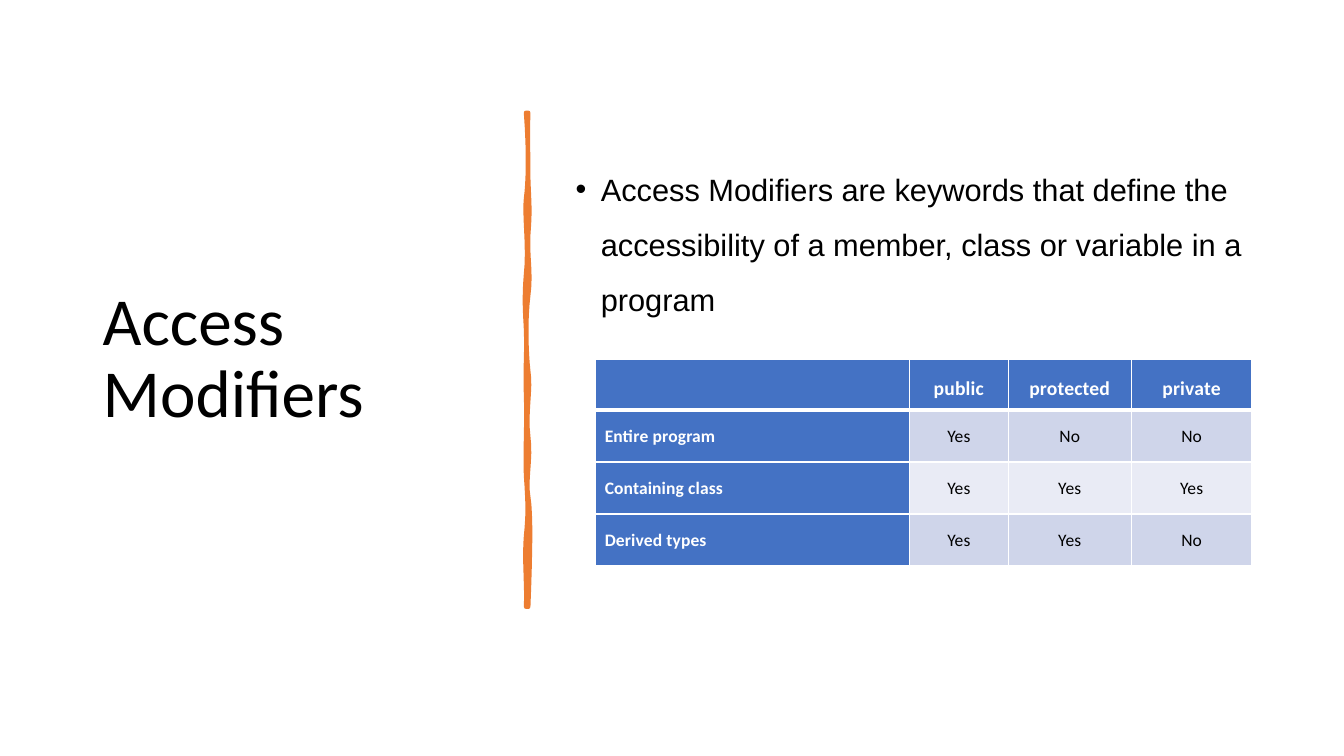
"""Build the Access Modifiers slide."""
from dataclasses import dataclass

from lxml import etree
from pptx import Presentation
from pptx.dml import color
from pptx.enum import text
from pptx.oxml import ns
from pptx.util import Pt


@dataclass(frozen=True)
class Theme:
    """Hold the fonts, colours and type sizes."""
    head: str = "Calibri"
    text: str = "Arial"
    ink: str = "000000"
    paper: str = "FFFFFF"
    brush: str = "ED7D31"
    blue: str = "4472C4"
    bands: tuple = ("CFD5EA", "E9EBF5")
    title: float = 48
    body: float = 22
    label: float = 14
    cell: float = 12.5


LOOK = Theme()

ROWS = (
    ("", "public", "protected", "private"),
    ("Entire program", "Yes", "No", "No"),
    ("Containing class", "Yes", "Yes", "Yes"),
    ("Derived types", "Yes", "Yes", "No"),
)
WIDTHS = (224.6, 70.6, 87.8, 86.4)

TOP, BASE = 80.6, 433.4
RIGHT, LEFT = 377.3, 375.8
DOWN = (
    (-0.7, 102.2, 0, 107.3, 127.4),
    (0.7, 148.3, 1.4, 149, 167.8),
    (-0.7, 186.5, 2.1, 193.7, 211),
    (-2.2, 228.2, -1.5, 252, 265),
    (2.1, 277.9, -2.2, 295.2, 311.8),
    (2.1, 328.3, -2.2, 342.7, 355),
    (2.1, 367.9, 1.4, 396.7, BASE),
)
UP = (
    (0.8, 420.5, -1.4, 398.2, 383),
    (1.5, 368.6, 1.5, 360, 339.8),
    (-0.7, 319.7, 0.8, 303.8, 282.2),
    (-0.7, 261.4, 0.8, 249.8, 235.4),
    (-0.7, 221, -1.4, 213.8, 195.8),
    (2.2, 177.8, -1.4, 152.6, 141.8),
    (1.5, 131, 2.2, 109.4, TOP),
)


def paint(fill, hue):
    """Make a fill solid in the given colour."""
    fill.solid()
    fill.fore_color.rgb = color.RGBColor.from_string(hue)


def write(para, words, font, size, hue, bold=False):
    """Add one formatted run to a paragraph."""
    run = para.add_run()
    run.text = words
    run.font.name = font
    run.font.size = Pt(size)
    run.font.bold = bold
    run.font.color.rgb = color.RGBColor.from_string(hue)
    return run


def place(holder, left, top, width, height, lead):
    """Move a placeholder and return its first paragraph."""
    holder.left, holder.top = Pt(left), Pt(top)
    holder.width, holder.height = Pt(width), Pt(height)
    frame = holder.text_frame
    frame.word_wrap = True
    frame.auto_size = text.MSO_AUTO_SIZE.NONE
    frame.vertical_anchor = text.MSO_ANCHOR.MIDDLE
    para = frame.paragraphs[0]
    para.alignment = text.PP_ALIGN.LEFT
    para.line_spacing = lead
    return para


def bullet(para, indent):
    """Give a paragraph a hanging round bullet."""
    props = para._p.get_or_add_pPr()
    props.set("marL", str(Pt(indent)))
    props.set("indent", str(-Pt(indent)))
    etree.SubElement(props, ns.qn("a:buFont")).set("typeface", LOOK.text)
    etree.SubElement(props, ns.qn("a:buChar")).set("char", "•")


def trace(edge, start, curves, steps=8):
    """Sample one wavy edge of the brush stroke."""
    dots = []
    for dx1, y1, dx2, y2, end in curves:
        for step in range(1, steps + 1):
            t = step / steps
            s = 1 - t
            one, two = 3 * s * s * t, 3 * s * t * t
            x = edge + one * dx1 + two * dx2
            y = s ** 3 * start + one * y1 + two * y2 + t ** 3 * end
            dots.append((Pt(x), Pt(y)))
        start = end
    return dots


def brush(slide):
    """Draw the upright brush stroke."""
    build = slide.shapes.build_freeform(Pt(RIGHT), Pt(TOP))
    dots = trace(RIGHT, TOP, DOWN) + [(Pt(LEFT), Pt(BASE))]
    build.add_line_segments(dots + trace(LEFT, BASE, UP), close=True)
    shape = build.convert_to_shape()
    shape.shadow.inherit = False
    paint(shape.fill, LOOK.brush)
    paint(shape.line.fill, LOOK.brush)
    shape.line.width = Pt(3.25)
    etree.SubElement(shape.line._get_or_add_ln(), ns.qn("a:round"))


def border(cell, **sides):
    """Set white cell borders with the given widths."""
    props = cell._tc.get_or_add_tcPr()
    for side in "LRTB":
        line = etree.SubElement(props, ns.qn("a:ln" + side))
        line.set("w", str(Pt(sides.get(side, 1))))
        fill = etree.SubElement(line, ns.qn("a:solidFill"))
        etree.SubElement(fill, ns.qn("a:srgbClr")).set("val", LOOK.paper)


def fill_cell(cell, words, row, col):
    """Style one table cell by its row and column."""
    head = row == 0
    bold = head or col == 0
    border(cell, B=3 if head else 1, T=3 if row == 1 else 1)
    paint(cell.fill, LOOK.blue if bold else LOOK.bands[(row - 1) % 2])
    cell.vertical_anchor = text.MSO_ANCHOR.BOTTOM
    cell.margin_left = cell.margin_right = Pt(7)
    cell.margin_top = cell.margin_bottom = Pt(7 if head else 10.4)
    if not words:
        return
    para = cell.text_frame.paragraphs[0]
    para.alignment = text.PP_ALIGN.CENTER if col else text.PP_ALIGN.LEFT
    para.line_spacing = 1.07
    para.space_after = Pt(8)
    run = write(para, words, LOOK.head, LOOK.label if head else LOOK.cell,
                LOOK.paper if bold else LOOK.ink, bold)
    run.font._element.set("spc", "10")


def grid(slide):
    """Add the table of access levels."""
    frame = slide.shapes.add_table(len(ROWS), len(WIDTHS), Pt(425), Pt(257),
                                   Pt(sum(WIDTHS)), Pt(144))
    table = frame.table
    for col, width in zip(table.columns, WIDTHS):
        col.width = Pt(width)
    for r, row in enumerate(ROWS):
        table.rows[r].height = Pt(37 if r else 33)
        for c, words in enumerate(row):
            fill_cell(table.cell(r, c), words, r, c)


def main():
    """Build and save the slide."""
    deck = Presentation()
    deck.slide_width, deck.slide_height = Pt(960), Pt(540)
    slide = deck.slides.add_slide(deck.slide_layouts[1])
    paint(slide.background.fill, LOOK.paper)
    title = place(slide.shapes.title, 66.2, 43.2, 283.7, 427.7, 0.9)
    write(title, "Access Modifiers", LOOK.head, LOOK.title, LOOK.ink)
    brush(slide)
    body = place(slide.placeholders[1], 404, 43.2, 490.3, 249.1, 1.5)
    body.space_before = Pt(10)
    bullet(body, 18)
    write(body, "Access Modifiers are keywords that define the accessibility "
          "of a member, class or variable in a program",
          LOOK.text, LOOK.body, LOOK.ink)
    grid(slide)
    deck.save("out.pptx")


if __name__ == "__main__":
    main()
